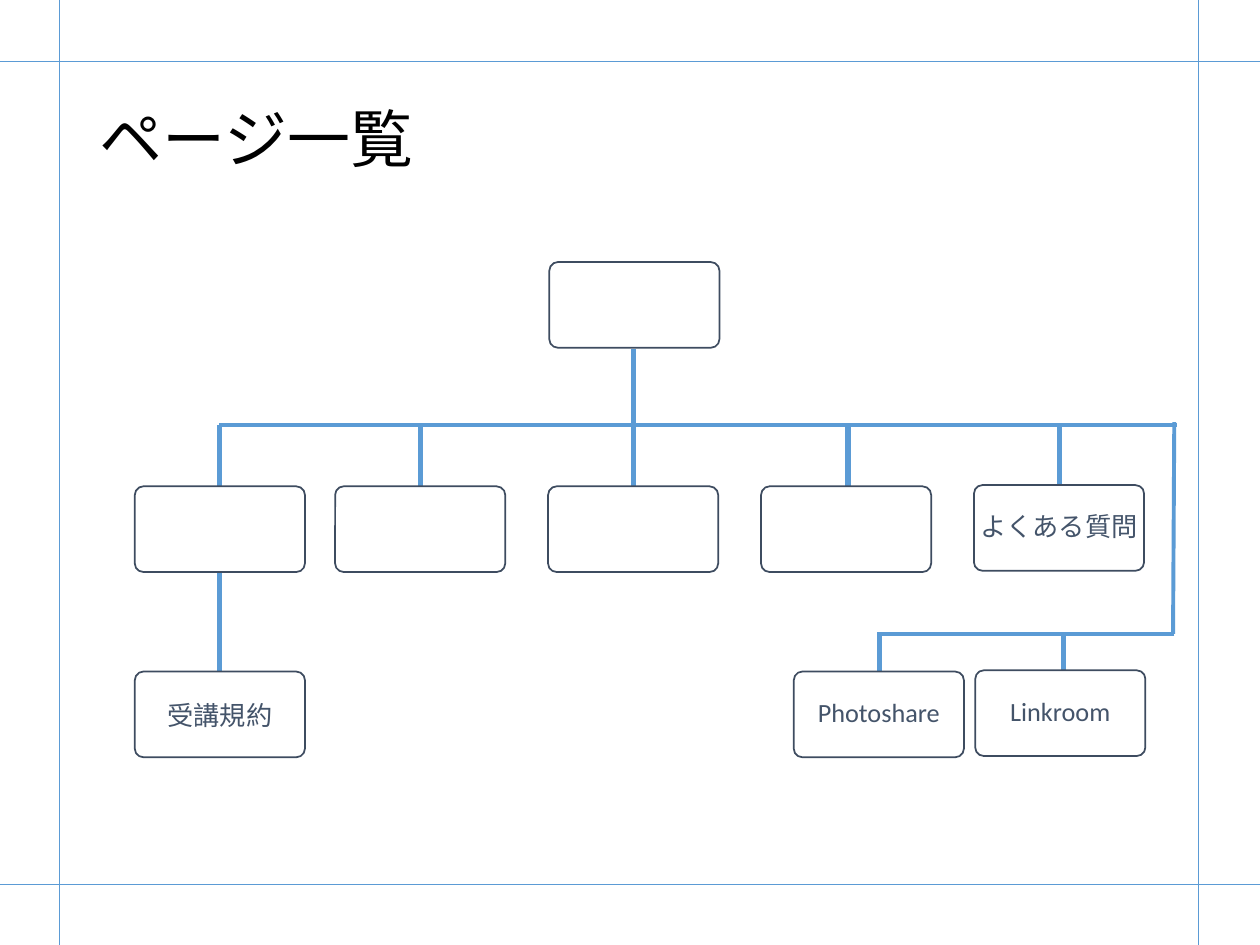
from dataclasses import dataclass

import pptx
import pptx.dml.color
import pptx.enum.shapes
import pptx.enum.text
import pptx.oxml.ns
import pptx.util
from lxml import etree

Inches = pptx.util.Inches
Pt = pptx.util.Pt


@dataclass(frozen=True)
class Theme:
    font: str = "Calibri"
    title_size: float = 36
    label_size: float = 15
    title_color: str = "000000"
    label_color: str = "44546A"
    link_color: str = "5B9BD5"
    border_color: str = "3E4C60"
    fill_color: str = "FFFFFF"
    guide_width: float = 0.5
    rail_width: float = 2.25
    drop_width: float = 3
    border_width: float = 1
    box_width: float = 1.35
    box_height: float = 0.68
    label_inset: float = 0.02


class SitemapPage:
    def __init__(self, page, theme):
        self.page = page
        self.theme = theme

    def color(self, value):
        return pptx.dml.color.RGBColor.from_string(value)

    def style_text(self, para, size, color):
        para.line_spacing = 0.9
        para.font.name = self.theme.font
        para.font.size = Pt(size)
        para.font.color.rgb = self.color(color)

    def title(self, text, left, top, width, height):
        title = self.page.shapes.title
        title.left, title.top = Inches(left), Inches(top)
        title.width, title.height = Inches(width), Inches(height)
        frame = title.text_frame
        frame.text = text
        frame.vertical_anchor = pptx.enum.text.MSO_ANCHOR.MIDDLE
        para = frame.paragraphs[0]
        para.alignment = pptx.enum.text.PP_ALIGN.LEFT
        self.style_text(para, self.theme.title_size, self.theme.title_color)

    def line(self, start, end, width):
        line = self.page.shapes.add_connector(
            pptx.enum.shapes.MSO_CONNECTOR.STRAIGHT,
            *(Inches(value) for value in (*start, *end)),
        )
        line.line.color.rgb = self.color(self.theme.link_color)
        line.line.width = Pt(width)
        properties = line._element.spPr
        etree.SubElement(properties, pptx.oxml.ns.qn("a:effectLst"))

    def drop(self, x, top, bottom):
        self.line((x, top), (x, bottom), self.theme.drop_width)

    def box(self, left, top):
        theme = self.theme
        box = self.page.shapes.add_shape(
            pptx.enum.shapes.MSO_SHAPE.ROUNDED_RECTANGLE,
            Inches(left), Inches(top),
            Inches(theme.box_width), Inches(theme.box_height),
        )
        box.adjustments[0] = 0.1
        box.shadow.inherit = False
        box.fill.solid()
        box.fill.fore_color.rgb = self.color(theme.fill_color)
        box.line.color.rgb = self.color(theme.border_color)
        box.line.width = Pt(theme.border_width)

    def labelled_box(self, text, left, top, label_top):
        theme = self.theme
        self.box(left, top)
        inset = theme.label_inset
        label = self.page.shapes.add_textbox(
            Inches(left + inset), Inches(label_top),
            Inches(theme.box_width - 2 * inset),
            Inches(theme.box_height - 2 * inset),
        )
        frame = label.text_frame
        frame.word_wrap = True
        frame.vertical_anchor = pptx.enum.text.MSO_ANCHOR.MIDDLE
        frame.margin_left = frame.margin_right = Inches(0.03)
        frame.margin_top = frame.margin_bottom = Inches(0.02)
        frame.text = text
        para = frame.paragraphs[0]
        para.alignment = pptx.enum.text.PP_ALIGN.CENTER
        para.space_after = Pt(5.25)
        self.style_text(para, theme.label_size, theme.label_color)


def main():
    deck = pptx.Presentation()
    deck.slide_width, deck.slide_height = Inches(10), Inches(7.5)
    theme = Theme()
    sitemap = SitemapPage(deck.slides.add_slide(deck.slide_layouts[5]), theme)

    for x in (0.47, 9.51):
        sitemap.line((x, 0), (x, 7.5), theme.guide_width)
    for y in (0.49, 7.02):
        sitemap.line((0, y), (10, y), theme.guide_width)

    sitemap.title("ページ一覧", 0.69, 0.4, 8.62, 1.45)

    rail, row = 3.37, 3.86
    sitemap.drop(1.74, row + theme.box_height, 5.37)
    sitemap.drop(5.03, 2.77, row)
    for x in (1.74, 3.34, 6.73, 8.41):
        sitemap.drop(x, rail, row)
    sitemap.line((1.74, rail), (9.34, rail), theme.rail_width)

    sitemap.box(4.36, 2.08)
    for left in (1.07, 2.66, 4.35, 6.04):
        sitemap.box(left, row)
    sitemap.labelled_box("よくある質問", 7.73, 3.85, 3.87)
    sitemap.labelled_box("受講規約", 1.07, 5.33, 5.37)

    social_rail = 5.03
    sitemap.line((9.32, 3.35), (9.31, social_rail), theme.rail_width)
    sitemap.line((9.32, social_rail), (6.97, social_rail), theme.rail_width)
    for x in (6.98, 8.44):
        sitemap.drop(x, 5.02, 5.34)
    sitemap.labelled_box("Photoshare", 6.3, 5.33, 5.35)
    sitemap.labelled_box("Linkroom", 7.74, 5.32, 5.34)

    deck.save("out.pptx")


if __name__ == "__main__":
    main()
